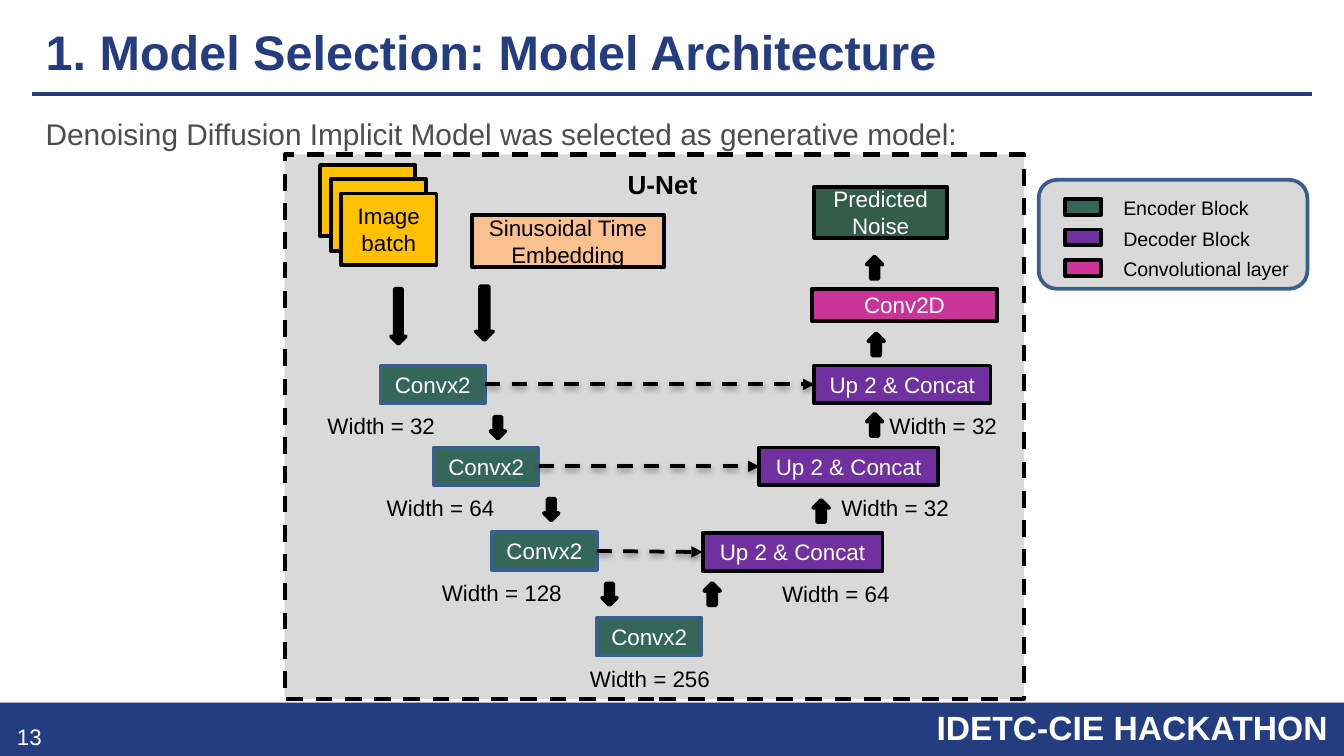
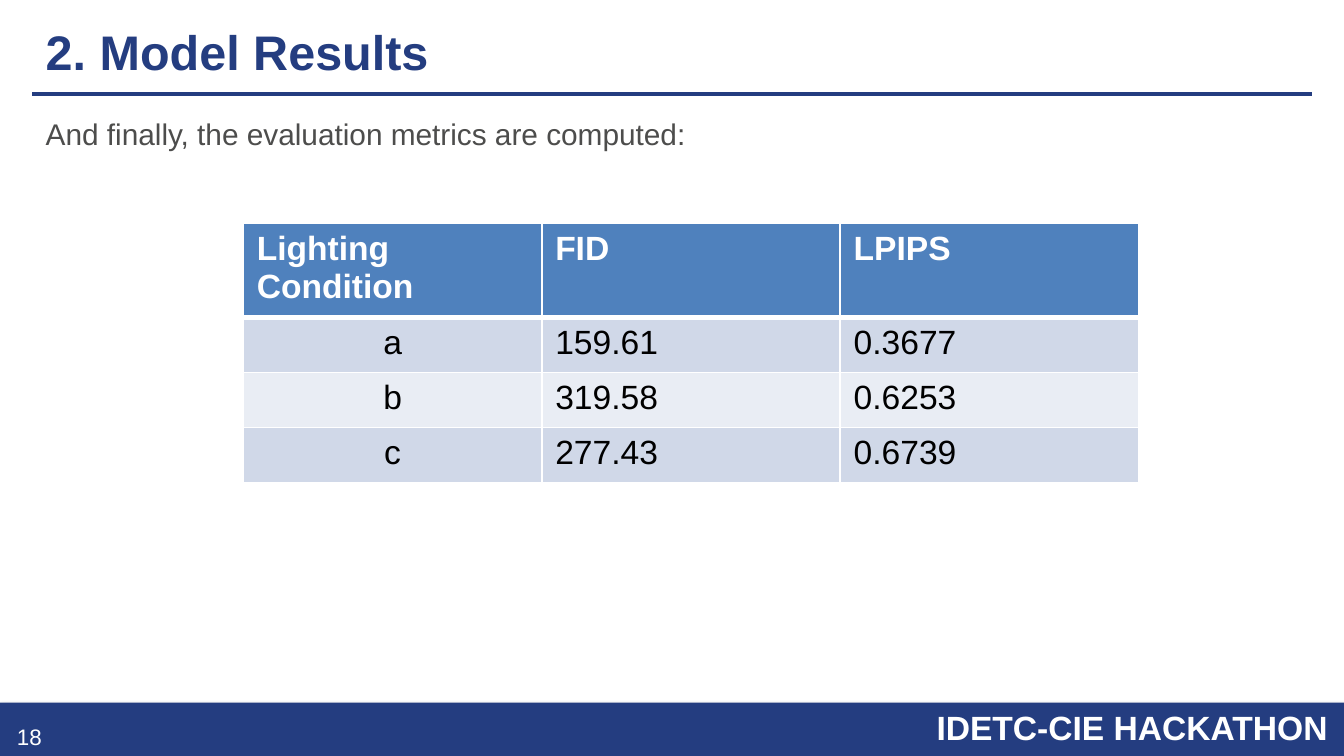
from pptx import Presentation
from pptx import util as u
from pptx.dml.color import RGBColor
from pptx.enum import dml, shapes, text
from pptx.oxml import parse_xml, ns

NAVY, WHITE, BLACK, GREY = "243D80", "FFFFFF", "000000", "D9D9D9"
GREEN, PURPLE, PINK, YELLOW = "346757", "7030A0", "CC3399", "FFC000"
STEEL = "3A5F8C"
KIND = shapes.MSO_SHAPE
ALIGN = text.PP_ALIGN
rgb = RGBColor.from_string
SHADOW = (
    f'<a:effectLst {ns.nsdecls("a")}><a:outerShdw blurRad="40000" dist="{{dist}}" '
    'dir="5400000" rotWithShape="0"><a:srgbClr val="000000">'
    '<a:alpha val="{alpha}"/></a:srgbClr></a:outerShdw></a:effectLst>'
)


def write(holder, words, size, color, bold=False, align=ALIGN.LEFT, wrap=True, middle=False):
    """Fill a shape, placeholder or cell with one formatted paragraph."""
    frame = holder.text_frame
    frame.text = words
    frame.word_wrap = wrap
    if middle:
        frame.vertical_anchor = text.MSO_ANCHOR.MIDDLE
    paragraph = frame.paragraphs[0]
    paragraph.alignment = align
    font = paragraph.runs[0].font
    font.name, font.size, font.bold = "Arial", u.Pt(size), bold
    font.color.rgb = rgb(color)


def block(slide, at, fill, line=BLACK, words="", color=WHITE, kind=KIND.RECTANGLE):
    """Draw a filled shape at (left, top, width, height) in centimetres."""
    shape = slide.shapes.add_shape(kind, *map(u.Cm, at))
    shape.shadow.inherit = False
    shape.fill.solid()
    shape.fill.fore_color.rgb = rgb(fill)
    if line:
        shape.line.color.rgb = rgb(line)
        shape.line.width = u.Pt(2)
    else:
        shape.line.fill.background()
    if words:
        write(shape, words, 12, color, align=ALIGN.CENTER, middle=True)
    return shape


prs = Presentation()
prs.slide_width, prs.slide_height = u.Cm(25.4), u.Cm(14.29)

# Shared frame: title, lead sentence, rule, footer band and page number
pages = [
    ("1. Model Selection: Model Architecture",
     "Denoising Diffusion Implicit Model was selected as generative model:", "13"),
    ("2. Model Results", "And finally, the evaluation metrics are computed:", "18"),
]
for heading, lead, number in pages:
    slide = prs.slides.add_slide(prs.slide_layouts[1])
    title, body = slide.placeholders
    title.left, title.top, title.width, title.height = map(u.Cm, (0.61, 0.13, 22.71, 1.68))
    write(title, heading, 26, NAVY, bold=True, middle=True)
    title.text_frame.auto_size = text.MSO_AUTO_SIZE.NONE

    body.left, body.top, body.width, body.height = map(u.Cm, (0.61, 2.06, 24.16, 9.68))
    write(body, lead, 16, "4D4D4C")
    body.text_frame.auto_size = text.MSO_AUTO_SIZE.NONE
    paragraph = body.text_frame.paragraphs[0]
    paragraph.space_before = u.Pt(0)
    bullet = paragraph._p.get_or_add_pPr()
    bullet.set("marL", "0")
    bullet.set("indent", "0")
    bullet.append(parse_xml(f'<a:buNone {ns.nsdecls("a")}/>'))

    rule = slide.shapes.add_connector(
        shapes.MSO_CONNECTOR.STRAIGHT, *map(u.Cm, (0.61, 1.78, 24.79, 1.78)))
    rule.line.color.rgb = rgb(NAVY)
    rule.line.width = u.Pt(2)
    rule._element.spPr.append(parse_xml(f'<a:effectLst {ns.nsdecls("a")}/>'))

    band = block(slide, (0, 13.28, 25.4, 1.01), NAVY, line=None)
    band._element.spPr.replace(
        band._element.spPr.find(ns.qn("a:effectLst")),
        parse_xml(SHADOW.format(dist=23000, alpha=35000)))
    event = slide.shapes.add_textbox(*map(u.Cm, (17.45, 13.23, 7.98, 1.02)))
    write(event, "IDETC-CIE HACKATHON", 18, WHITE, bold=True, wrap=False)
    page_number = slide.shapes.add_textbox(*map(u.Cm, (0, 13.54, 1.04, 0.76)))
    write(page_number, number, 12, WHITE, align=ALIGN.RIGHT, middle=True)

architecture, results = prs.slides

# U-Net panel
panel = block(architecture, (5.38, 2.92, 13.97, 10.29), GREY)
panel.line.width = u.Pt(2.25)
panel.line.dash_style = dml.MSO_LINE.DASH
unet = architecture.shapes.add_textbox(*map(u.Cm, (11.61, 3.05, 2.31, 0.86)))
write(unet, "U-Net", 14, BLACK, bold=True)

# Legend
block(architecture, (19.63, 3.4, 5.08, 2.06), GREY, STEEL, kind=KIND.ROUNDED_RECTANGLE)
legend = [("Encoder Block", GREEN), ("Decoder Block", PURPLE), ("Convolutional layer", PINK)]
for i, (meaning, color) in enumerate(legend):
    block(architecture, (20.13, 3.76 + 0.58 * i, 0.68, 0.3), color)
    label = architecture.shapes.add_textbox(*map(u.Cm, (20.98, 3.58 + 0.58 * i, 4.4, 0.72)))
    write(label, meaning, 10.5, BLACK)

# Inputs and outputs
for i, words in enumerate(("", "", "Image batch")):
    block(architecture, (6.05 + 0.2 * i, 3.12 + 0.27 * i, 1.8, 1.35), YELLOW,
          words=words, color=BLACK)
block(architecture, (8.92, 4.06, 3.63, 0.99), "FAC090",
      words="Sinusoidal Time Embedding", color=BLACK)
block(architecture, (15.39, 3.53, 2.51, 0.97), "335D4B", words="Predicted Noise")
block(architecture, (15.34, 5.46, 3.51, 0.61), PINK, words="Conv2D")

# Encoder and decoder steps: left, top, block width, label left, label
encoder_steps = [
    (7.19, 6.91, 1.98, 5.94, "Width = 32"),
    (8.2, 8.46, 1.98, 7.06, "Width = 64"),
    (9.3, 10.06, 1.98, 8.1, "Width = 128"),
    (11.28, 11.68, 1.98, 10.9, "Width = 256"),
]
decoder_steps = [
    (15.39, 6.91, 3.33, 16.56, "Width = 32"),
    (14.35, 8.46, 3.38, 15.65, "Width = 32"),
    (13.28, 10.08, 3.4, 14.53, "Width = 64"),
]
encoders, decoders = [], []
for steps, stage, words, color, edge in (
    (encoder_steps, encoders, "Convx2", GREEN, STEEL),
    (decoder_steps, decoders, "Up 2 & Concat", PURPLE, BLACK),
):
    for left, top, width, label_left, channels in steps:
        stage.append(block(architecture, (left, top, width, 0.71), color, edge, words))
        label = architecture.shapes.add_textbox(
            *map(u.Cm, (label_left, top + 0.76, 3.2, 0.76)))
        write(label, channels, 12, BLACK)

# Skip connections
for encoder, decoder in zip(encoders, decoders):
    skip = architecture.shapes.add_connector(shapes.MSO_CONNECTOR.STRAIGHT, 0, 0, 0, 0)
    skip.begin_connect(encoder, 3)
    skip.end_connect(decoder, 1)
    skip.line.color.rgb = rgb(BLACK)
    skip.line.width = u.Pt(2)
    skip.line.dash_style = dml.MSO_LINE.DASH
    skip.line._get_or_add_ln().append(
        parse_xml(f'<a:tailEnd {ns.nsdecls("a")} type="triangle"/>'))
    skip._element.spPr.append(parse_xml(SHADOW.format(dist=20000, alpha=38000)))

# Flow arrows
down_arrows = [(7.39, 5.46, 0.28, 1.04), (8.99, 5.41, 0.33, 1.02)]
down_arrows += [(left + 2.08, top + 0.97, 0.28, 0.41) for left, top, *_ in encoder_steps[:3]]
up_arrows = [(left, top, 0.3, 0.42) for left, top in (
    (13.31, 11.02), (15.37, 9.45), (16.38, 7.82), (16.41, 6.3), (16.38, 4.85))]
for kind, arrows in ((KIND.DOWN_ARROW, down_arrows), (KIND.UP_ARROW, up_arrows)):
    for at in arrows:
        block(architecture, at, BLACK, kind=kind)

# Evaluation metrics
metrics = [
    ("Lighting Condition", "FID", "LPIPS"),
    ("a", "159.61", "0.3677"),
    ("b", "319.58", "0.6253"),
    ("c", "277.43", "0.6739"),
]
table = results.shapes.add_table(4, 3, *map(u.Cm, (4.6, 4.22, 16.92, 4.16))).table
for column in table.columns:
    column.width = u.Cm(5.64)
for r, record in enumerate(metrics):
    table.rows[r].height = u.Cm(1.04)
    for c, value in enumerate(record):
        cell = table.cell(r, c)
        for side in "LRTB":
            width = 38100 if (r, side) in ((0, "B"), (1, "T")) else 12700
            cell._tc.get_or_add_tcPr().append(parse_xml(
                f'<a:ln{side} {ns.nsdecls("a")} w="{width}"><a:solidFill>'
                f'<a:srgbClr val="{WHITE}"/></a:solidFill></a:ln{side}>'))
        cell.fill.solid()
        cell.fill.fore_color.rgb = rgb("4F81BD" if r == 0 else "D0D8E8" if r % 2 else "E9EDF4")
        write(cell, value, 18, BLACK if r else WHITE, bold=r == 0,
              align=ALIGN.CENTER if r and c == 0 else ALIGN.LEFT)

prs.save("out.pptx")
